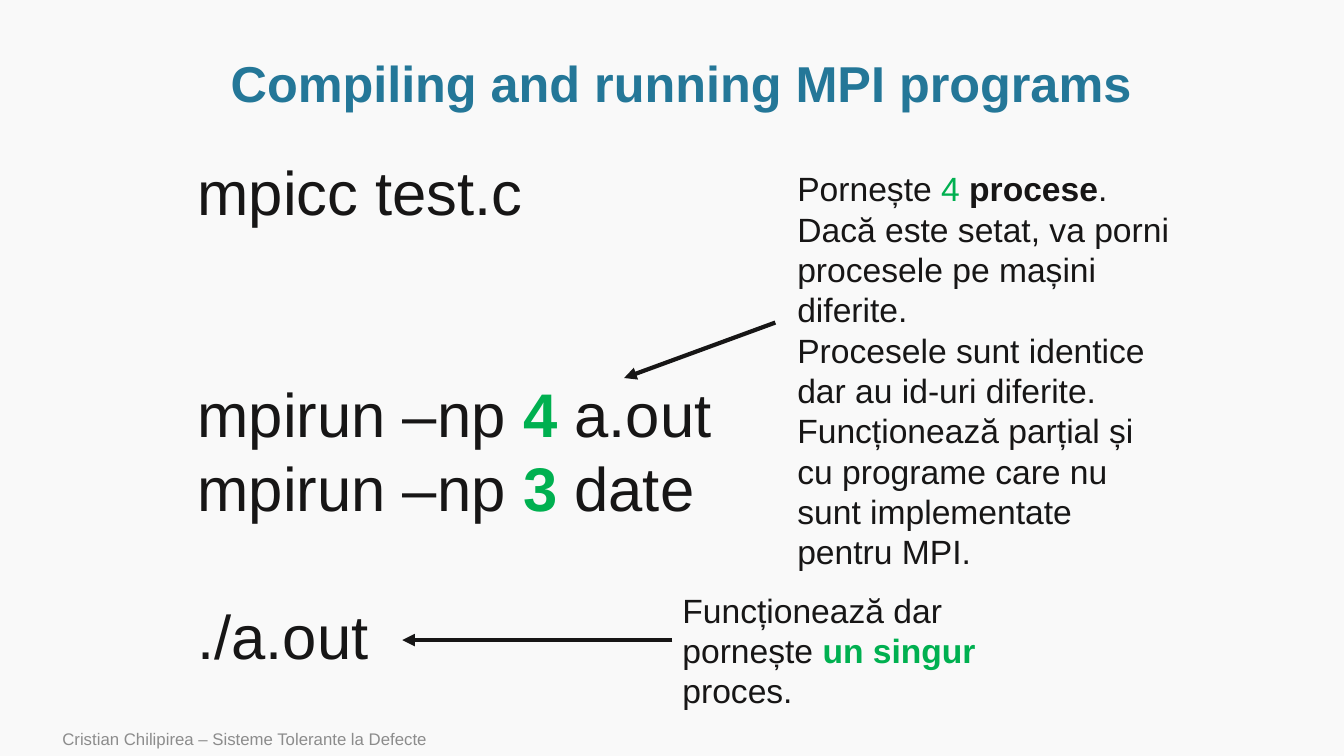
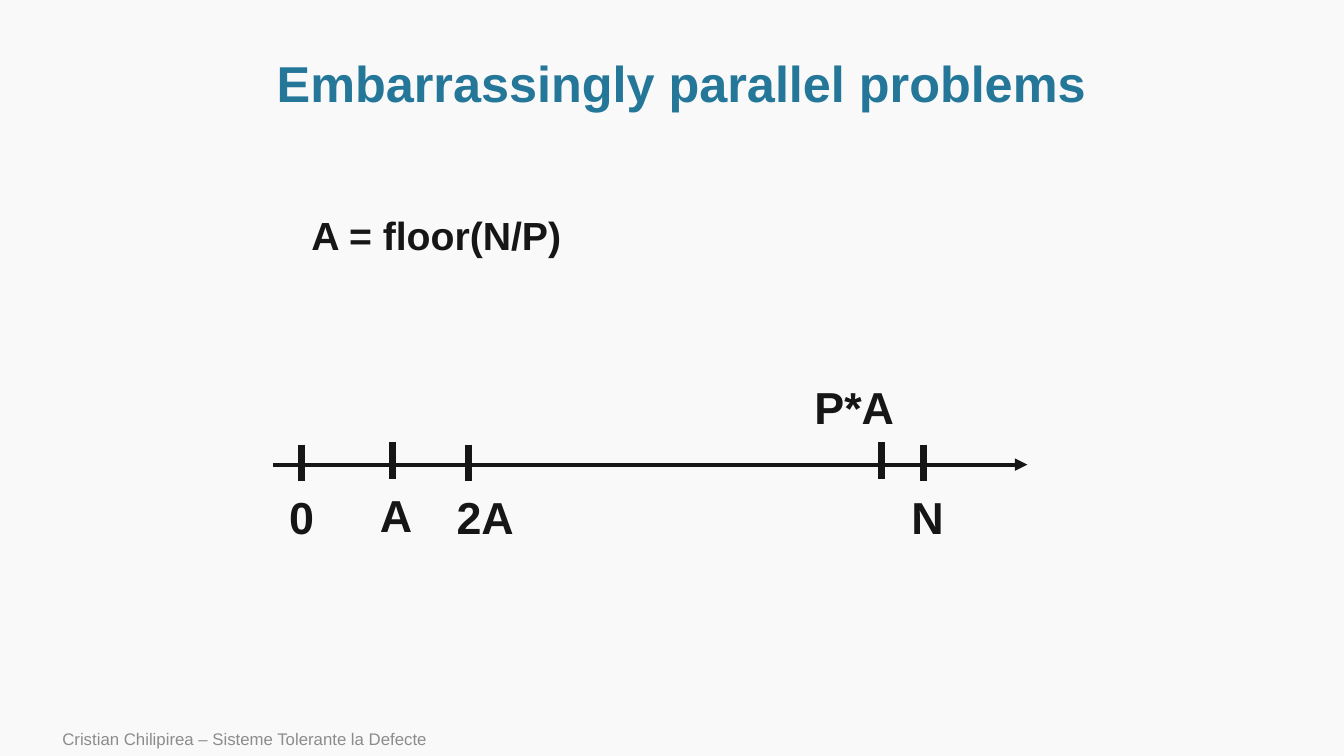
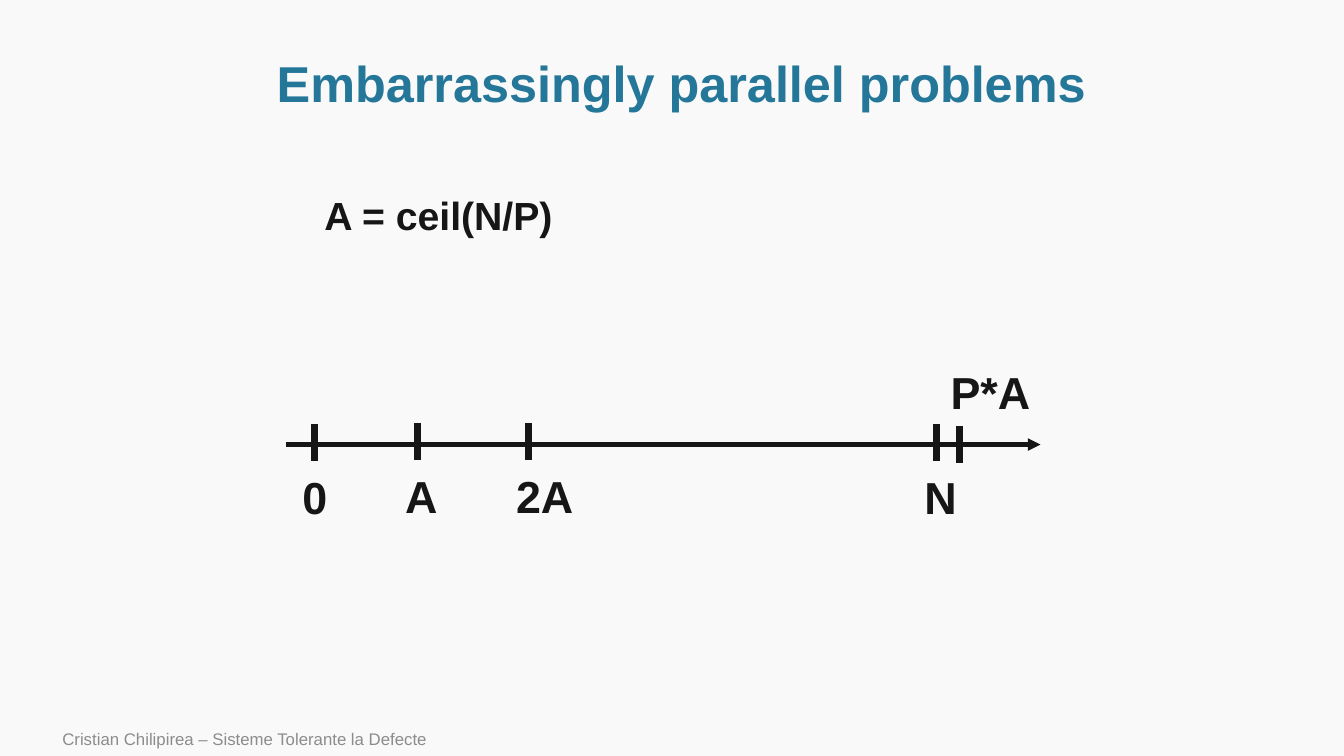
from lxml import etree
from pptx import Presentation
from pptx import util as u
from pptx.dml.color import RGBColor
from pptx.enum import shapes, text
from pptx.oxml.ns import qn

HUES = {"back": "F9F9F9", "ink": "171616", "title": "247798",
        "green": "00B050", "foot": "8C8C8C"}
FOOT = "Cristian Chilipirea – Sisteme Tolerante la Defecte"
WIDTHS = {"0": 0.45, "A": 0.53, "2A": 0.78, "N": 0.53, "P*A": 1}


def hue(name):
    return RGBColor.from_string(HUES[name])


def apply(item, style):
    for key, value in style.items():
        setattr(item, key, value)


class Deck:
    def __init__(self):
        self.file = Presentation()
        apply(self.file, {"slide_width": u.Inches(13.33), "slide_height": u.Inches(7.5)})
        fill = self.file.slide_master.background.fill
        fill.solid()
        fill.fore_color.rgb = hue("back")
        self.slide = None

    def start(self, title):
        self.slide = self.file.slides.add_slide(self.file.slide_layouts[5])
        self.text((0.52, 7.16, 8.4, 0.34), [FOOT], 12, tone="foot", grow=False,
                  anchor=text.MSO_ANCHOR.MIDDLE)
        head = self.slide.shapes.title
        self.place(head, (1.01, 0.51, 11.5, 0.69))
        apply(head.text_frame, {"auto_size": text.MSO_AUTO_SIZE.NONE, "word_wrap": True,
                                "vertical_anchor": text.MSO_ANCHOR.MIDDLE})
        para = head.text_frame.paragraphs[0]
        apply(para, {"alignment": text.PP_ALIGN.CENTER, "line_spacing": 0.9})
        self.run(para, title, 36, "title", True)

    def place(self, shape, box):
        names = ("left", "top", "width", "height")
        apply(shape, dict(zip(names, map(u.Inches, box))))

    def run(self, para, words, size, tone, bold):
        run = para.add_run()
        run.text = words
        apply(run.font, {"name": "Arial", "size": u.Pt(size), "bold": bold})
        run.font.color.rgb = hue(tone)

    def text(self, box, lines, size, tone="ink", bold=False, wrap=True,
             grow=True, anchor=text.MSO_ANCHOR.TOP, gaps=None):
        frame = self.slide.shapes.add_textbox(*map(u.Inches, box)).text_frame
        mode = text.MSO_AUTO_SIZE
        apply(frame, {"word_wrap": wrap, "vertical_anchor": anchor,
                      "auto_size": mode.SHAPE_TO_FIT_TEXT if grow else mode.NONE})
        for row, line in enumerate(lines):
            para = frame.add_paragraph() if row else frame.paragraphs[0]
            if gaps and row in gaps:
                para.space_before = u.Pt(gaps[row])
            parts = [(line, tone, bold)] if isinstance(line, str) else line
            for words, shade, heavy in parts:
                self.run(para, words, size, shade, heavy)

    def line(self, start, end, width=3, arrow=True):
        line = self.slide.shapes.add_connector(
            shapes.MSO_CONNECTOR.STRAIGHT, *map(u.Inches, start + end))
        line.line.width = u.Pt(width)
        line.line.color.rgb = hue("ink")
        props = line._element.spPr
        if arrow:
            tail = etree.SubElement(props.find(qn("a:ln")), qn("a:tailEnd"))
            tail.set("type", "triangle")
        etree.SubElement(props, qn("a:effectLst"))

    def label(self, left, top, words):
        self.text((left, top, WIDTHS[words], 0.64), [words], 32, bold=True, wrap=False)

    def tick(self, left, top, words=None):
        self.line((left, top), (left, top + 0.36), 5, False)
        if words:
            self.label(left - 0.22, top + 0.4, words)

    def axis(self, left, top, rule, wide, steps, last, peak):
        zero = left + 0.28
        self.line((left, top), (left + 7.48, top))
        self.text((zero, top - 2.56, wide, 0.57), [rule], 28, bold=True, wrap=False)
        self.tick(zero, top - 0.2, "0")
        self.tick(left + 6.45, top - 0.2, "N")
        for words, spot in zip(("A", "2A"), steps):
            self.tick(*spot, words)
        self.tick(*last)
        self.label(*peak, "P*A")


def main():
    deck = Deck()
    deck.start("Compiling and running MPI programs")
    size = 44
    blank = size * 1.2
    deck.text((1.86, 1.48, 5.35, 5.28), [
        "mpicc test.c",
        [("mpirun –np ", "ink", False), ("4 ", "green", True), ("a.out", "ink", False)],
        [("mpirun –np ", "ink", False), ("3", "green", True), (" date", "ink", False)],
        "./a.out",
    ], size, wrap=False, gaps={1: 2 * blank, 3: blank})
    deck.text((7.81, 1.62, 3.9, 4.14), [
        [("Pornește ", "ink", False), ("4 ", "green", False),
         ("procese", "ink", True), (".", "ink", False)],
        "Dacă este setat, va porni procesele pe mașini diferite.",
        "Procesele sunt identice dar au id-uri diferite.",
        "Funcționează parțial și cu programe care nu sunt implementate pentru MPI.",
    ], 24)
    deck.line((7.69, 3.2), (6.19, 3.75))
    deck.text((6.67, 5.8, 3.23, 1.31), [
        [("Funcționează dar pornește ", "ink", False), ("un singur", "green", True),
         (" proces.", "ink", False)],
    ], 24)
    deck.line((6.67, 6.35), (3.99, 6.35))

    topic = "Embarrassingly parallel problems"
    deck.start(topic)
    deck.axis(2.71, 4.61, "A = floor(N/P)", 2.82,
              ((3.89, 4.39), (4.65, 4.41)), (8.74, 4.39), (7.98, 3.72))
    deck.start(topic)
    deck.axis(2.84, 4.41, "A = ceil(N/P)", 2.6,
              ((4.14, 4.2), (5.24, 4.2)), (9.52, 4.23), (9.33, 3.57))
    deck.file.save("out.pptx")


if __name__ == "__main__":
    main()
